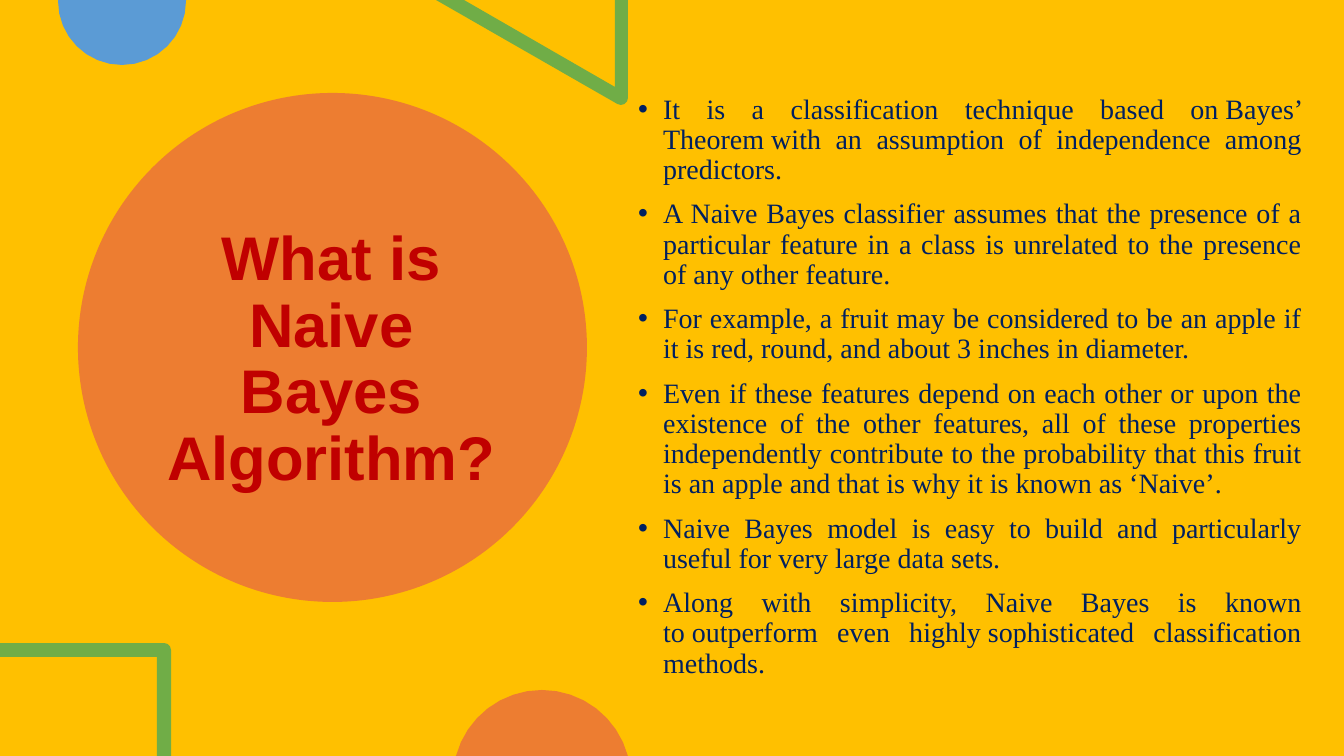
from math import cos, radians, sin

from pptx import Presentation
from pptx.dml.color import RGBColor
from pptx.enum.shapes import MSO_SHAPE
from pptx.enum.text import MSO_ANCHOR, MSO_AUTO_SIZE, PP_ALIGN
from pptx.oxml import parse_xml
from pptx.oxml.ns import nsdecls
from pptx.util import Pt

ELLIPSE = MSO_SHAPE.OVAL
TOP, MIDDLE = MSO_ANCHOR.TOP, MSO_ANCHOR.MIDDLE
CENTER, JUSTIFY = PP_ALIGN.CENTER, PP_ALIGN.JUSTIFY
NO_AUTOFIT = MSO_AUTO_SIZE.NONE

EMU_PER_PX = 914400 / 100.8
WIDTH, HEIGHT = 1344, 756
BULLET_INDENT = 25
NO_BREAK_SPACE = chr(160)

YELLOW = RGBColor(0xFF, 0xC0, 0x00)
ORANGE = RGBColor(0xED, 0x7D, 0x31)
BLUE = RGBColor(0x5B, 0x9B, 0xD5)
GREEN = RGBColor(0x70, 0xAD, 0x47)
RED = RGBColor(0xC0, 0x00, 0x00)
NAVY = RGBColor(0x00, 0x20, 0x60)

TITLE = "What is Naive Bayes Algorithm?"
# A tilde stands for a no-break space.
POINTS = [
    "It is a classification technique based on~Bayes’ Theorem~with an assumption "
    "of independence among predictors.",
    "A Naive Bayes classifier assumes that the presence of a particular feature "
    "in a class is unrelated to the presence of any other feature.",
    "For example, a fruit may be considered to be an apple if it is red, round, "
    "and about 3 inches in diameter.",
    "Even if these features depend on each other or upon the existence of the "
    "other features, all of these properties independently contribute to the "
    "probability that this fruit is an apple and that is why it is known as ‘Naive’.",
    "Naive Bayes model is easy to build and particularly useful for very large "
    "data sets.",
    "Along with simplicity, Naive Bayes is known to~outperform even "
    "highly~sophisticated classification methods.",
]


def px(n):
    return round(n * EMU_PER_PX)


def arc(cx, cy, radius, start, end, steps):
    """Points along a circle, in degrees clockwise from three o'clock."""
    angles = [radians(start + (end - start) * i / steps) for i in range(steps + 1)]
    return [(cx + radius * cos(a), cy + radius * sin(a)) for a in angles]


def write(p, text, *, font, size, color, bold=False, align=CENTER, before=0,
          bullet=None):
    p.alignment = align
    p.line_spacing = 0.9
    p.space_before = Pt(before)
    if bullet:
        pPr = p._p.get_or_add_pPr()
        pPr.set("marL", str(px(BULLET_INDENT)))
        pPr.set("indent", str(-px(BULLET_INDENT)))
        pPr.append(parse_xml(f'<a:buFont {nsdecls("a")} typeface="Arial"/>'))
        pPr.append(parse_xml(f'<a:buChar {nsdecls("a")} char="{bullet}"/>'))
    r = p.add_run()
    r.text = text.replace("~", NO_BREAK_SPACE)
    r.font.name = font
    r.font.size = Pt(size)
    r.font.bold = bold
    r.font.color.rgb = color


class Deck:
    heading = dict(font="Arial", size=44, color=RED, bold=True)
    listing = dict(font="Times New Roman", size=20, color=NAVY, align=JUSTIFY,
                   bullet="•")

    def __init__(self):
        self.prs = Presentation()
        self.prs.slide_width, self.prs.slide_height = px(WIDTH), px(HEIGHT)
        self.s = self.prs.slides.add_slide(self.prs.slide_layouts[1])
        fill = self.s.background.fill
        fill.solid()
        fill.fore_color.rgb = YELLOW

    def paint(self, sp, color):
        sp.shadow.inherit = False
        sp.fill.solid()
        sp.fill.fore_color.rgb = color
        sp.line.fill.background()

    def circle(self, x, y, size, color):
        sp = self.s.shapes.add_shape(ELLIPSE, px(x), px(y), px(size), px(size))
        self.paint(sp, color)

    def outline(self, points, color):
        (x, y), *rest = [(px(a), px(b)) for a, b in points]
        builder = self.s.shapes.build_freeform(x, y)
        builder.add_line_segments(rest, close=True)
        self.paint(builder.convert_to_shape(), color)

    def placeholder(self, idx, x, y, w, h, texts, anchor, style, gap=0):
        """Move a placeholder to the front and fill it with paragraphs."""
        sp = self.s.placeholders[idx]
        self.s.shapes._spTree.append(sp._element)
        sp.left, sp.top, sp.width, sp.height = px(x), px(y), px(w), px(h)
        tf = sp.text_frame
        tf.word_wrap = True
        tf.auto_size = NO_AUTOFIT
        tf.vertical_anchor = anchor
        for i, text in enumerate(texts):
            p = tf.add_paragraph() if i else tf.paragraphs[0]
            write(p, text, before=gap if i else 0, **style)


def main():
    deck = Deck()
    deck.circle(78, 93, 509, ORANGE)
    deck.placeholder(0, 153, 136, 357, 449, [TITLE], MIDDLE, deck.heading)

    top_disc = [(186, 0), *arc(122, 1, 64, 0, 180, 16), (58, 0)]
    triangle = [(628, 0), (615, 0), (615, 87), (464, 0), (436, 0),
                *arc(621, 98, 7, 120, 0, 4)]
    corner_frame = [(0, 643), *arc(164, 650, 7, -90, 0, 3), (171, HEIGHT),
                    (157, HEIGHT), (157, 657), (0, 657)]
    bottom_disc = arc(542, 779, 89, 195, 345, 16)
    deck.outline(top_disc, BLUE)
    deck.outline(triangle, GREEN)
    deck.placeholder(1, 628, 90, 684, 640, POINTS, TOP, deck.listing, gap=10)
    deck.outline(corner_frame, GREEN)
    deck.outline(bottom_disc, ORANGE)
    deck.prs.save("out.pptx")


if __name__ == "__main__":
    main()
